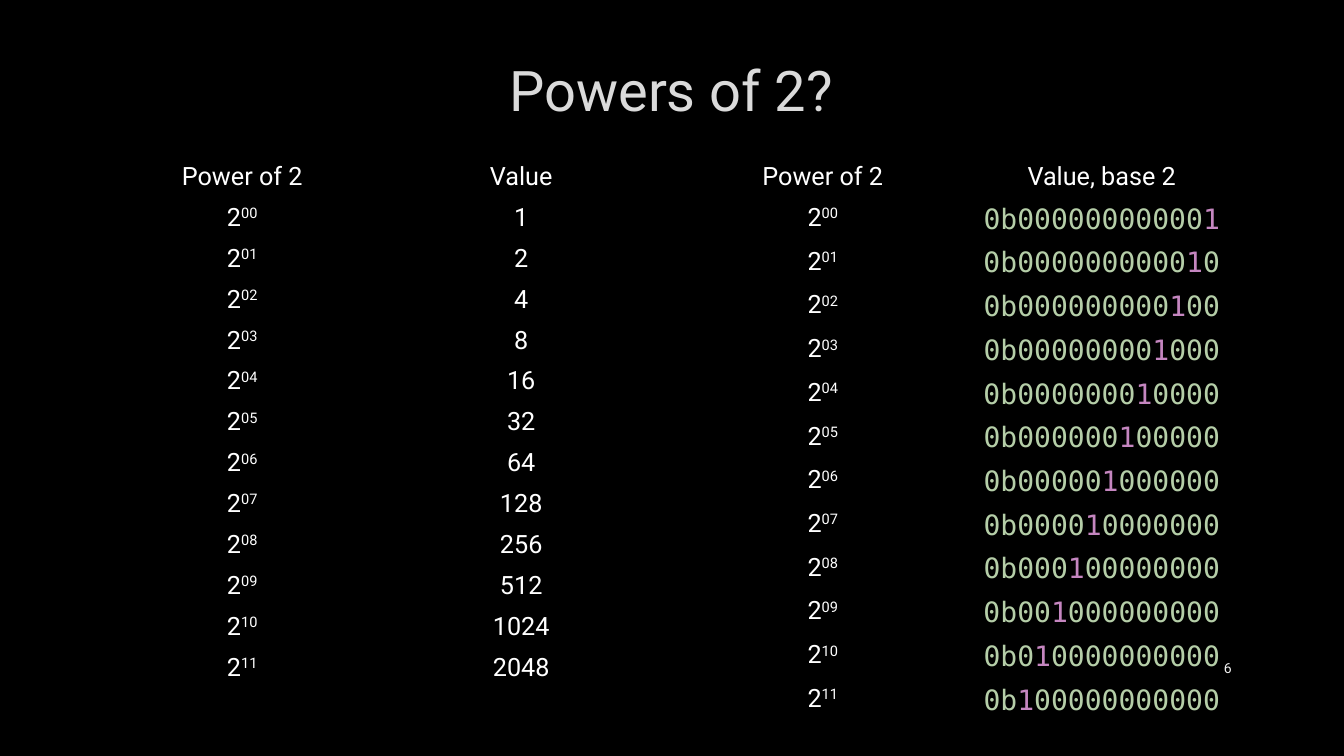
"""Build the slide that lists the powers of two in decimal and in binary."""
from dataclasses import dataclass

from lxml.etree import SubElement
from pptx import Presentation
from pptx.dml.color import RGBColor
from pptx.enum.text import MSO_ANCHOR, PP_ALIGN
from pptx.oxml.ns import qn
from pptx.util import Cm, Pt


@dataclass(frozen=True)
class Theme:
    back: str = "000000"
    title: str = "DADADA"
    text: str = "FFFFFF"
    page: str = "F2F2F2"
    zero: str = "B5CEA8"
    one: str = "C586C0"
    edge: str = "404040"
    sans: str = "Roboto"
    mono: str = "DejaVu Sans Mono"
    big: int = 40
    code: int = 20
    body: int = 18
    small: int = 10


theme = Theme()
no_grid = "{2D5ABB26-0587-4C30-8999-92F81FD0307C}"
count = 12


def write(frame, text, size, color, face=theme.sans, align=PP_ALIGN.CENTER):
    """Put text in the first paragraph and return its run."""
    para = frame.paragraphs[0]
    para.alignment = align
    para.font.size = Pt(size)
    para.font.name = face
    para.font.color.rgb = RGBColor.from_string(color)
    run = para.add_run()
    run.text = text
    return run


def outline(run):
    """Give the letters of a run a faint edge."""
    line = SubElement(run.font._element, qn("a:ln"), w=str(Pt(0.75)))
    run.font._element.insert(0, line)
    fill = SubElement(line, qn("a:solidFill"))
    tint = SubElement(fill, qn("a:srgbClr"), val=theme.edge)
    SubElement(tint, qn("a:alpha"), val="10000")


deck = Presentation()
deck.slide_width, deck.slide_height = Cm(33.87), Cm(19.05)
slide = deck.slides.add_slide(deck.slide_layouts[6])
slide.background.fill.solid()
slide.background.fill.fore_color.rgb = RGBColor.from_string(theme.back)

title = slide.shapes.add_textbox(Cm(2.54), Cm(0.89), Cm(28.75), Cm(2.69)).text_frame
title.word_wrap = True
title.vertical_anchor = MSO_ANCHOR.MIDDLE
outline(write(title, "Powers of 2?", theme.big, theme.title))

grids = []
for left, head in ((2.59, "Value"), (17.22, "Value, base 2")):
    grid = slide.shapes.add_table(
        count + 1, 2, Cm(left), Cm(3.96), Cm(14.06), Cm(13.39)).table
    grid.first_row = grid.horz_banding = False
    grid._tbl.tblPr.find(qn("a:tableStyleId")).text = no_grid
    for cell in grid.iter_cells():
        cell.fill.background()
    for col, label in enumerate(("Power of 2", head)):
        write(grid.cell(0, col).text_frame, label, theme.body, theme.text)
    for power in range(count):
        frame = grid.cell(power + 1, 0).text_frame
        write(frame, "2", theme.body, theme.text)
        upper = frame.paragraphs[0].add_run()
        upper.text = f"{power:02}"
        upper.font._element.set("baseline", "30000")
    grids.append(grid)

whole, binary = grids
for power in range(count):
    write(whole.cell(power + 1, 1).text_frame, str(2 ** power), theme.body, theme.text)
    frame = binary.cell(power + 1, 1).text_frame
    lead = "0b" + "0" * (count - 1 - power)
    outline(write(frame, lead, theme.code, theme.zero, theme.mono))
    for digits, color in (("1", theme.one), ("0" * power, theme.zero)):
        if digits:
            run = frame.paragraphs[0].add_run()
            run.text = digits
            run.font.color.rgb = RGBColor.from_string(color)
            outline(run)

page = slide.shapes.add_textbox(Cm(29.21), Cm(16.33), Cm(2.08), Cm(1.02)).text_frame
page.word_wrap = True
page.vertical_anchor = MSO_ANCHOR.MIDDLE
write(page, "6", theme.small, theme.page, align=PP_ALIGN.RIGHT)

deck.save("out.pptx")
